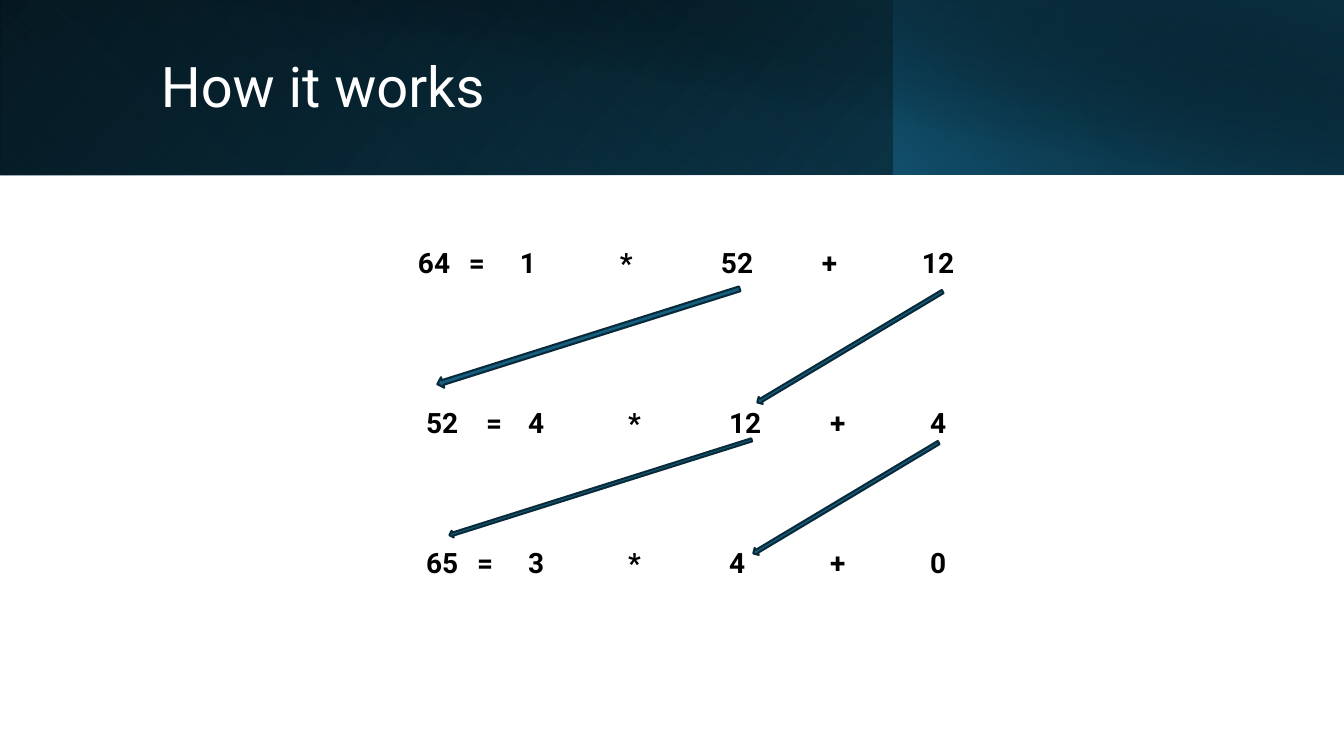
from dataclasses import dataclass

from pptx import Presentation
from pptx.dml.color import RGBColor
from pptx.enum.shapes import MSO_SHAPE as Shape
from pptx.enum.text import MSO_ANCHOR as Anchor
from pptx.oxml import parse_xml
from pptx.oxml.ns import nsdecls
from pptx.util import Pt

SCALE = 12192000 / 1344
FONT = "Roboto"
TAB_STOPS = (102, 202, 303, 404, 504)


@dataclass(frozen=True)
class Stop:
    pos: int
    color: str
    alpha: int = 100


@dataclass(frozen=True)
class Band:
    left: int
    width: int
    height: int
    angle: int
    stops: tuple[Stop, Stop]
    flip: bool = True
    rotation: int = 0


@dataclass(frozen=True)
class Equation:
    left: int
    middle: int
    equals: int
    text: str


@dataclass(frozen=True)
class Arrow:
    left: int
    top: int
    width: int
    height: int
    rotation: float


BANDS = (
    Band(0, 1344, 175, 140, (Stop(0, "000000"), Stop(100, "104862"))),
    Band(0, 895, 175, 230, (Stop(20, "156082", 0), Stop(100, "0B3041", 55)), rotation=180),
    Band(894, 450, 175, 220, (Stop(0, "156082", 66), Stop(100, "000000", 30))),
    Band(50, 1294, 176, 280, (Stop(50, "000000", 0), Stop(99, "0B3041", 52)), flip=False),
)
EQUATIONS = (
    Equation(418, 262, 51, "64\t=\t1\t*\t52\t+\t12"),
    Equation(426, 422, 60, "52\t=\t4\t*\t12\t+\t4"),
    Equation(426, 562, 51, "65\t=\t3\t*\t4\t+\t0"),
)
ARROWS = (
    Arrow(430, 331, 317, 11, 162.5),
    Arrow(442, 484, 317, 7, 162.5),
    Arrow(742, 343, 216, 8, 149.1),
    Arrow(738, 494, 216, 8, 149.1),
)


def px(value: int) -> int:
    """Turn px into EMU."""
    return round(value * SCALE)


def rgb(color: str) -> RGBColor:
    """Turn a hex string into a colour."""
    return RGBColor.from_string(color)


def add_band(slide, band: Band) -> None:
    """Draw one gradient layer of the header."""
    s = slide.shapes.add_shape(Shape.RECTANGLE, px(band.left), 0, px(band.width), px(band.height))
    s.shadow.inherit = False
    s.line.fill.background()
    s.rotation = band.rotation
    sp_pr = s._element.spPr
    if band.flip:
        sp_pr.xfrm.set("flipH", "1")
    stops = "".join(
        f'<a:gs pos="{stop.pos * 1000}"><a:srgbClr val="{stop.color}">'
        f'<a:alpha val="{stop.alpha * 1000}"/></a:srgbClr></a:gs>'
        for stop in band.stops
    )
    sp_pr.insert(2, parse_xml(
        f'<a:gradFill {nsdecls("a")} rotWithShape="1"><a:gsLst>{stops}</a:gsLst>'
        f'<a:lin ang="{band.angle * 60000}" scaled="0"/></a:gradFill>'
    ))


def add_text(slide, box: tuple[int, int, int, int], text: str, size: int, color: str, bold: bool = False):
    """Add a vertically centred one-line text box and return it."""
    s = slide.shapes.add_textbox(*map(px, box))
    tf = s.text_frame
    tf.word_wrap = True
    tf.vertical_anchor = Anchor.MIDDLE
    tf.text = text
    for r in tf.paragraphs[0].runs:
        r.font.name = FONT
        r.font.size = Pt(size)
        r.font.bold = bold
        r.font.color.rgb = rgb(color)
    return s


def add_equation(slide, eq: Equation) -> None:
    """Write one equation with its terms on tab stops."""
    s = add_text(slide, (eq.left, eq.middle - 20, 600, 40), eq.text, 20, "000000", True)
    tf = s.text_frame
    tf.margin_left = tf.margin_right = tf.margin_top = tf.margin_bottom = 0
    tabs = "".join(f'<a:tab pos="{px(x)}" algn="l"/>' for x in (eq.equals, *TAB_STOPS))
    p_pr = tf.paragraphs[0]._p.get_or_add_pPr()
    p_pr.append(parse_xml(f'<a:tabLst {nsdecls("a")}>{tabs}</a:tabLst>'))


def add_arrow(slide, arrow: Arrow) -> None:
    """Draw one thin block arrow."""
    box = (arrow.left, arrow.top, arrow.width, arrow.height)
    s = slide.shapes.add_shape(Shape.RIGHT_ARROW, *map(px, box))
    s.shadow.inherit = False
    s.rotation = arrow.rotation
    s.adjustments[0] = 0.45
    s.adjustments[1] = 0.5
    s.fill.solid()
    s.fill.fore_color.rgb = rgb("156082")
    s.line.color.rgb = rgb("092A39")
    s.line.width = Pt(1.5)


def main() -> None:
    """Build the slide and save it."""
    prs = Presentation()
    prs.slide_width, prs.slide_height = px(1344), px(756)
    slide = prs.slides.add_slide(prs.slide_layouts[6])
    for band in BANDS:
        add_band(slide, band)
    title = add_text(slide, (151, 32, 1091, 114), "How it works", 40, "FFFFFF")
    title.text_frame.paragraphs[0].line_spacing = 0.9
    for eq in EQUATIONS:
        add_equation(slide, eq)
    for arrow in ARROWS:
        add_arrow(slide, arrow)
    prs.save("out.pptx")


if __name__ == "__main__":
    main()
